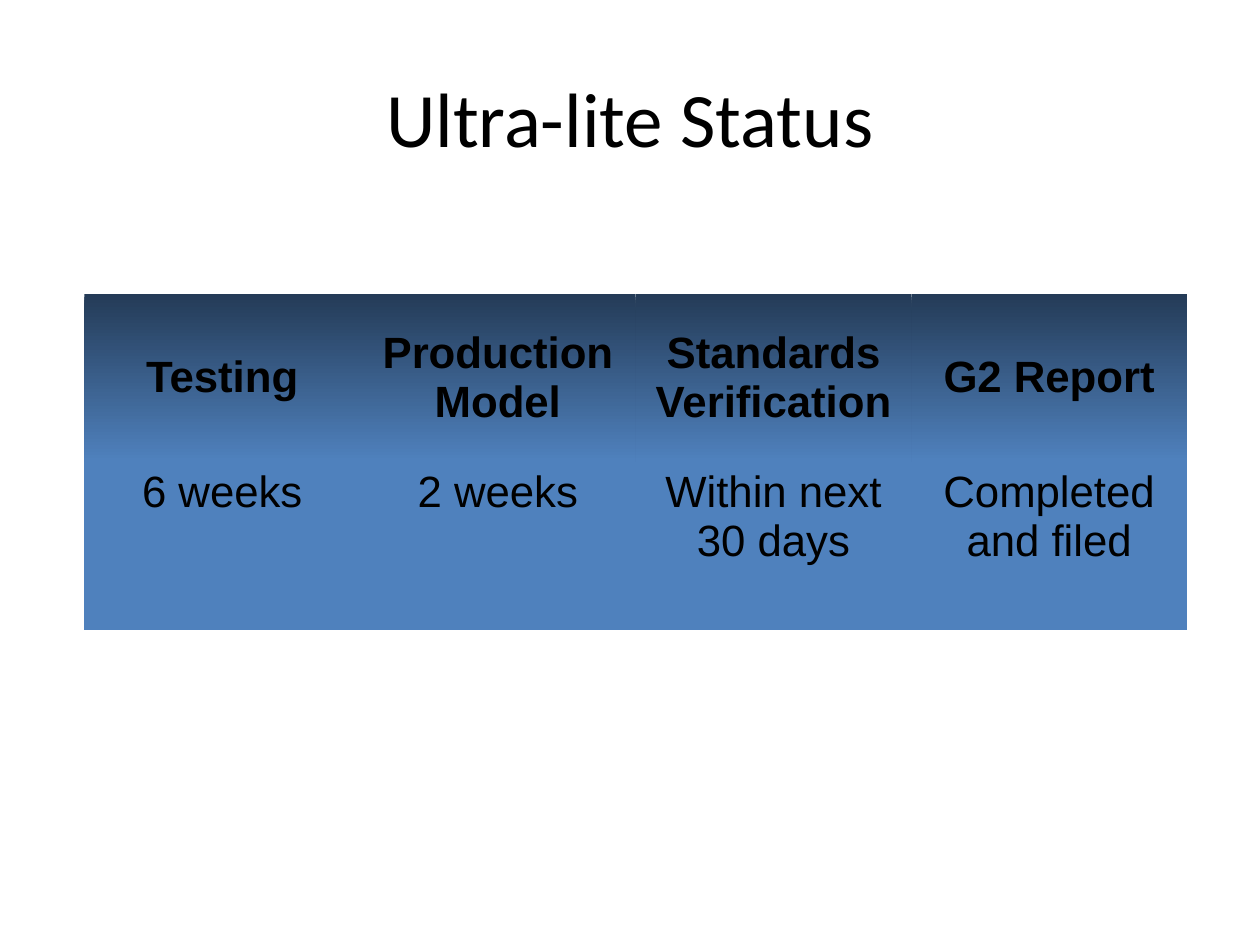
"""Build the Ultra-lite Status slide with its two-row status table."""
from pptx import Presentation
from pptx.dml.color import RGBColor
from pptx.enum.text import MSO_ANCHOR, PP_ALIGN
from pptx.oxml.ns import qn
from pptx.util import Inches, Pt

COLORS = {"text": "000000", "header_top": "243B57", "body": "4F81BD"}
NO_STYLE_NO_GRID = "{2D5ABB26-0587-4C30-8999-92F81FD0307C}"
STATUSES = [
    ("Testing", "6 weeks"),
    ("Production Model", "2 weeks"),
    ("Standards Verification", "Within next 30 days"),
    ("G2 Report", "Completed and filed"),
]


def format_text(paragraph, font_name, size, bold=False):
    paragraph.alignment = PP_ALIGN.CENTER
    paragraph.font.name = font_name
    paragraph.font.size = Pt(size)
    paragraph.font.bold = bold
    paragraph.font.color.rgb = RGBColor.from_string(COLORS["text"])


prs = Presentation()
prs.slide_width, prs.slide_height = Inches(10), Inches(7.5)
slide = prs.slides.add_slide(prs.slide_layouts[5])

title = slide.shapes.title
title.left, title.top = Inches(0.5), Inches(0.3)
title.width, title.height = Inches(9), Inches(1.25)
title.text_frame.text = "Ultra-lite Status"
title.text_frame.vertical_anchor = MSO_ANCHOR.MIDDLE
format_text(title.text_frame.paragraphs[0], "Calibri", 44)

status_table = slide.shapes.add_table(
    2, len(STATUSES), Inches(0.67), Inches(2.33), Inches(8.75), Inches(2.67)
).table
status_table.first_row = False
status_table.horz_banding = False
status_table._tbl.tblPr.find(qn("a:tableStyleId")).text = NO_STYLE_NO_GRID

for column, status in enumerate(STATUSES):
    for row, wording in enumerate(status):
        is_header = row == 0
        cell = status_table.cell(row, column)
        cell.text = wording
        cell.vertical_anchor = MSO_ANCHOR.MIDDLE if is_header else MSO_ANCHOR.TOP
        format_text(cell.text_frame.paragraphs[0], "Arial", 25, is_header)
        if is_header:
            cell.fill.gradient()
            cell.fill.gradient_angle = 270
            for stop, shade in zip(cell.fill.gradient_stops, ("header_top", "body")):
                stop.color.rgb = RGBColor.from_string(COLORS[shade])
        else:
            cell.fill.solid()
            cell.fill.fore_color.rgb = RGBColor.from_string(COLORS["body"])

prs.save("out.pptx")
